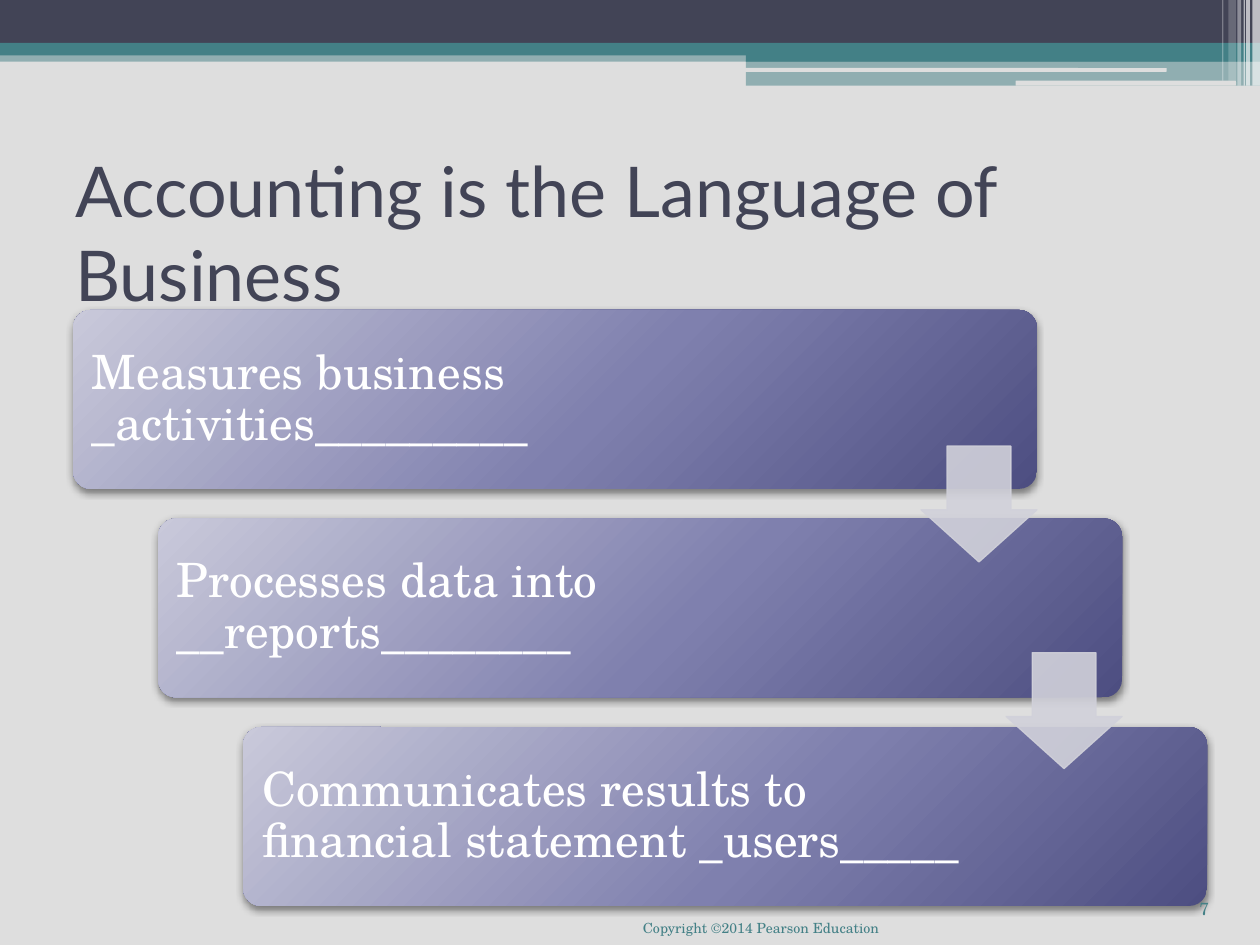
import pptx
import pptx.dml.color
import pptx.enum.shapes
import pptx.enum.text
import pptx.oxml
import pptx.oxml.ns
import pptx.util
from pptx.util import Inches

RGBColor = pptx.dml.color.RGBColor
MSO_SHAPE = pptx.enum.shapes.MSO_SHAPE
MSO_ANCHOR = pptx.enum.text.MSO_ANCHOR
PP_ALIGN = pptx.enum.text.PP_ALIGN
qn = pptx.oxml.ns.qn

BACKGROUND = RGBColor(0xDE, 0xDE, 0xDE)
NAVY = RGBColor(0x42, 0x44, 0x56)
TEAL = RGBColor(0x43, 0x80, 0x86)
WHITE = RGBColor(0xFF, 0xFF, 0xFF)
ARROW = RGBColor(0xD1, 0xD1, 0xDA)
CARD_LIGHT = RGBColor(0xC9, 0xC9, 0xDA)
CARD_MID = RGBColor(0x7F, 0x80, 0xAE)
CARD_DARK = RGBColor(0x4D, 0x4E, 0x81)

HEADING_FONT = "Lato"
BODY_FONT = "TeX Gyre Schola"

BANDS = [
    (0, 0.4, 10, 0.09, TEAL, 50),
    (0, 0, 10, 0.34, NAVY, 100),
    (0, 0.34, 10, 0.1, TEAL, 100),
    (5.92, 0.39, 4.08, 0.1, TEAL, 100),
    (5.92, 0.48, 4.08, 0.2, TEAL, 50),
]
HIGHLIGHTS = [(5.91, 0.54, 3.35, 0.03), (8.06, 0.64, 1.75, 0.04)]
STRIPES = [
    (9.94, 0.06, 0.68, 65),
    (9.89, 0.03, 0.68, 65),
    (9.87, 0.01, 0.68, 60),
    (9.82, 0.03, 0.68, 40),
    (9.75, 0.06, 0.64, 20),
    (9.7, 0.01, 0.64, 30),
]

STEPS = [
    ("Measures business _activities_________", 6.12),
    ("Processes data into __reports________", 5.97),
    ("Communicates results to financial statement _users_____", 5.97),
]
CARD_LEFT, CARD_TOP = 0.58, 2.46
CARD_WIDTH, CARD_HEIGHT = 7.65, 1.42
STEP_X, STEP_Y = 0.675, 1.655
ARROW_LEFT, ARROW_TOP, ARROW_SIZE = 7.31, 3.54, 0.92
ARROW_STEP_Y = 1.64


def set_alpha(fill_parent, percent):
    color = fill_parent.find(qn("a:solidFill"))[0]
    color.append(pptx.oxml.parse_xml(
        f'<a:alpha {pptx.oxml.ns.nsdecls("a")} val="{percent * 1000}"/>'))


def add_shape(slide, kind, x, y, w, h, color, alpha=100, adjustments=()):
    s = slide.shapes.add_shape(kind, Inches(x), Inches(y), Inches(w), Inches(h))
    for i, value in enumerate(adjustments):
        s.adjustments[i] = value
    s.shadow.inherit = False
    s.line.fill.background()
    s.fill.solid()
    s.fill.fore_color.rgb = color
    if alpha < 100:
        set_alpha(s._element.spPr, alpha)
    return s


def add_text(slide, x, y, w, h, text, font, size, color,
             align=PP_ALIGN.LEFT, anchor=MSO_ANCHOR.TOP):
    box = slide.shapes.add_textbox(Inches(x), Inches(y), Inches(w), Inches(h))
    tf = box.text_frame
    tf.word_wrap = True
    tf.vertical_anchor = anchor
    p = tf.paragraphs[0]
    p.alignment = align
    r = p.add_run()
    r.text = text
    r.font.name = font
    r.font.size = pptx.util.Pt(size)
    r.font.color.rgb = color
    return tf


def add_card(slide, x, y, text, text_width):
    s = add_shape(slide, MSO_SHAPE.ROUNDED_RECTANGLE, x, y, CARD_WIDTH,
                  CARD_HEIGHT, CARD_MID, adjustments=[0.1])
    ns = pptx.oxml.ns.nsdecls("a")
    stops = "".join(
        f'<a:gs pos="{pos * 1000}"><a:srgbClr val="{color}"/></a:gs>'
        for pos, color in [(0, CARD_LIGHT), (55, CARD_MID), (100, CARD_DARK)])
    gradient = pptx.oxml.parse_xml(
        f'<a:gradFill {ns} rotWithShape="1"><a:gsLst>{stops}</a:gsLst>'
        '<a:path path="circle"><a:fillToRect l="-40000" t="-90000" '
        'r="140000" b="190000"/></a:path></a:gradFill>')
    sp_pr = s._element.spPr
    sp_pr.replace(sp_pr.find(qn("a:solidFill")), gradient)
    sp_pr.find(qn("a:effectLst")).append(pptx.oxml.parse_xml(
        f'<a:outerShdw {ns} blurRad="{pptx.util.Pt(4)}" '
        f'dist="{pptx.util.Pt(2)}" dir="5400000" rotWithShape="0">'
        '<a:srgbClr val="000000"><a:alpha val="45000"/></a:srgbClr>'
        '</a:outerShdw>'))

    tf = add_text(slide, x + 0.04, y + 0.04, text_width, CARD_HEIGHT - 0.08,
                  text, BODY_FONT, 27, WHITE, anchor=MSO_ANCHOR.MIDDLE)
    tf.margin_left = tf.margin_right = Inches(0.11)
    tf.margin_top = tf.margin_bottom = Inches(0.11)
    tf.paragraphs[0].line_spacing = 0.9


def add_arrow(slide, x, y):
    s = add_shape(slide, MSO_SHAPE.DOWN_ARROW, x, y, ARROW_SIZE, ARROW_SIZE,
                  ARROW, 90)
    s.adjustments[0] = 0.45
    s.adjustments[1] = 0.55
    s.adjustments[0], s.adjustments[1] = 0.55, 0.45
    s.line.color.rgb = ARROW
    s.line.width = pptx.util.Pt(0.75)
    set_alpha(s._element.spPr.find(qn("a:ln")), 90)


def add_header(slide):
    for x, y, w, h, color, alpha in BANDS:
        add_shape(slide, MSO_SHAPE.RECTANGLE, x, y, w, h, color, alpha)
    for x, y, w, h in HIGHLIGHTS:
        add_shape(slide, MSO_SHAPE.ROUNDED_RECTANGLE, x, y, w, h, BACKGROUND)
    for x, w, h, alpha in STRIPES:
        add_shape(slide, MSO_SHAPE.RECTANGLE, x, 0, w, h, WHITE, alpha)


def main():
    prs = pptx.Presentation()
    prs.slide_width = Inches(10)
    prs.slide_height = Inches(7.5)
    slide = prs.slides.add_slide(prs.slide_layouts[6])
    slide.background.fill.solid()
    slide.background.fill.fore_color.rgb = BACKGROUND

    add_header(slide)
    add_text(slide, 0.5, 1.25, 9, 1.17, "Accounting is the Language of Business",
             HEADING_FONT, 40, NAVY, anchor=MSO_ANCHOR.MIDDLE)
    for i, (text, text_width) in enumerate(STEPS):
        add_card(slide, CARD_LEFT + i * STEP_X, CARD_TOP + i * STEP_Y,
                 text, text_width)
    for i in range(len(STEPS) - 1):
        add_arrow(slide, ARROW_LEFT + i * STEP_X, ARROW_TOP + i * ARROW_STEP_Y)
    add_text(slide, 3.25, 7.25, 3.83, 0.25, "Copyright ©2014 Pearson Education",
             BODY_FONT, 8, TEAL, align=PP_ALIGN.RIGHT)
    add_text(slide, 9.42, 7.08, 0.33, 0.42, "7", BODY_FONT, 10, TEAL)

    prs.save("out.pptx")


if __name__ == "__main__":
    main()
